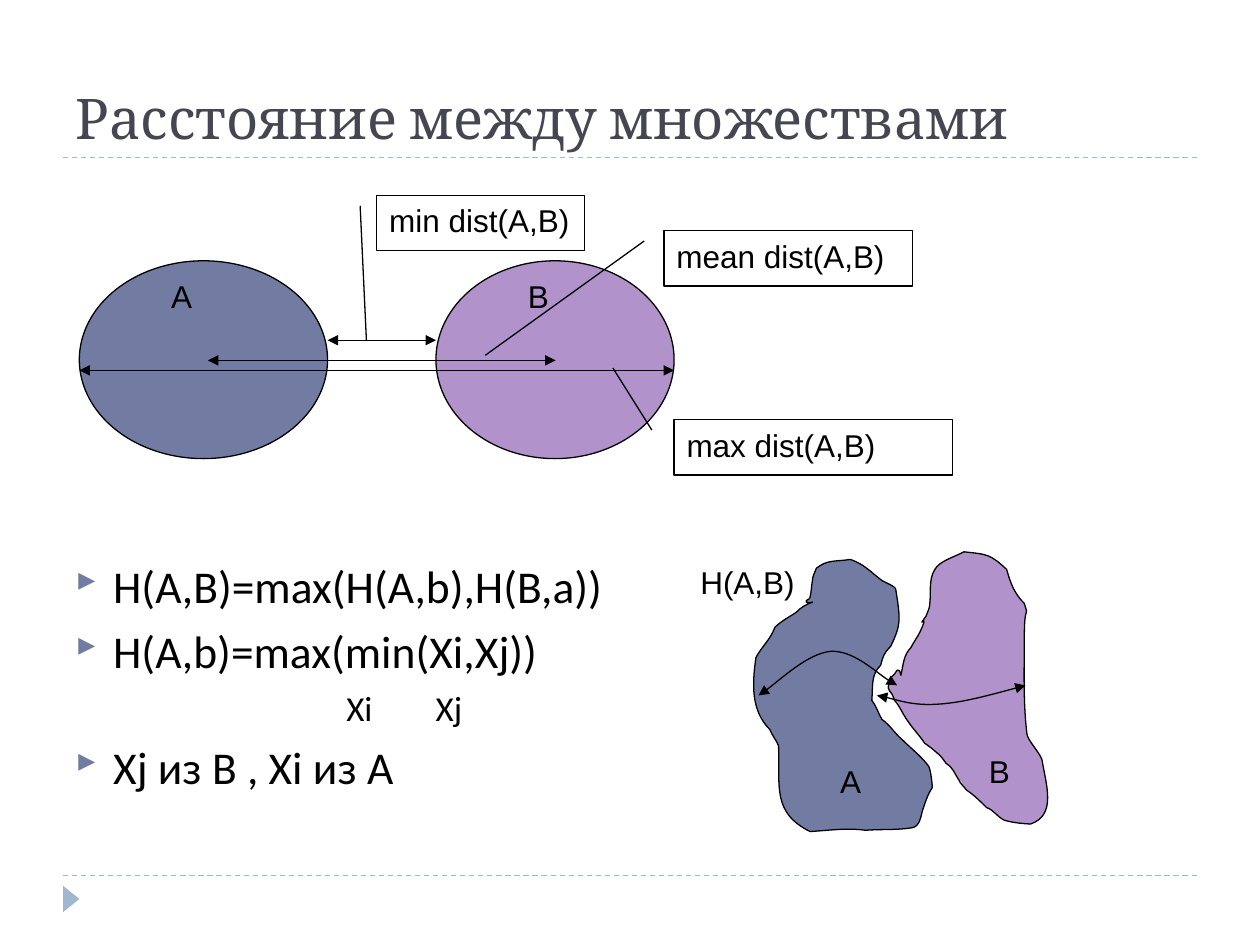
from lxml.etree import Element, SubElement
from pptx import Presentation
from pptx.dml.color import RGBColor
from pptx.enum.dml import MSO_LINE
from pptx.enum.shapes import MSO_CONNECTOR, MSO_SHAPE
from pptx.enum.text import MSO_ANCHOR, PP_ALIGN
from pptx.oxml.ns import qn
from pptx.util import Inches, Pt

BLACK = RGBColor(0, 0, 0)
WHITE = RGBColor(255, 255, 255)
TITLE_GREY = RGBColor(0x46, 0x46, 0x53)
PALE_BLUE = RGBColor(0x9F, 0xB8, 0xCD)
SET_A_BLUE = RGBColor(0x72, 0x7C, 0xA3)
SET_B_PURPLE = RGBColor(0xB2, 0x92, 0xCA)

# Bezier points (start, then two controls and an end per arc), in hundredths of an inch.
SET_A_OUTLINE = [
    (145, 78), (139, 80), (136, 82), (132, 86), (126, 90), (120, 93), (115, 98),
    (112, 107), (104, 114), (100, 122), (97, 143), (96, 164), (111, 179),
    (113, 184), (116, 187), (118, 192), (119, 225), (113, 245), (143, 260),
    (159, 259), (172, 257), (187, 259), (200, 258), (212, 259), (224, 257),
    (230, 256), (231, 248), (232, 244), (234, 238), (236, 231), (240, 225),
    (240, 225), (239, 211), (237, 208), (231, 200), (223, 194), (216, 187),
    (210, 182), (207, 176), (200, 171), (197, 166), (196, 161), (192, 156),
    (193, 144), (191, 136), (199, 128), (201, 121), (201, 119), (207, 113),
    (215, 96), (215, 93), (211, 68), (211, 65), (201, 62), (199, 60),
    (190, 53), (186, 48), (175, 44), (162, 46), (157, 44), (148, 51),
    (147, 54), (145, 57), (145, 60), (144, 65), (144, 70), (143, 74),
    (143, 76), (139, 76), (140, 78), (141, 79), (143, 78), (145, 78)]
SET_B_OUTLINE = [
    (215, 136), (217, 128), (217, 120), (223, 114), (225, 110), (228, 106), (230, 102),
    (239, 83), (226, 102), (235, 89), (236, 86), (238, 83), (238, 79),
    (239, 70), (237, 60), (242, 52), (246, 45), (258, 42), (265, 38),
    (284, 40), (286, 40), (299, 52), (302, 63), (305, 71), (313, 79),
    (317, 92), (313, 77), (313, 105), (313, 131), (312, 157), (315, 182),
    (315, 187), (325, 197), (327, 203), (330, 222), (339, 247), (318, 254),
    (314, 254), (303, 253), (297, 251), (291, 248), (289, 243), (283, 241),
    (278, 236), (273, 231), (267, 227), (265, 224), (262, 222), (261, 219),
    (257, 213), (257, 210), (251, 206), (248, 202), (247, 200), (243, 197),
    (240, 194), (234, 190), (234, 190), (230, 184), (225, 179), (221, 173),
    (217, 168), (214, 160), (210, 156), (209, 154), (209, 152), (208, 151),
    (207, 149), (205, 148), (205, 146), (205, 142), (207, 137), (210, 135),
    (211, 134), (212, 131), (213, 132), (215, 132), (214, 135), (215, 136)]
DISTANCE_ARCS = [
    [(314, 144), (288, 151), (263, 158), (243, 159), (224, 160), (204, 153), (196, 152)],
    [(102, 152), (111, 147), (141, 119), (159, 117), (177, 116), (201, 139), (212, 144)]]


def outline(shape, color=BLACK):
    shape.line.color.rgb = color
    shape.line.width = Pt(0.75)


def add_arrowheads(shape):
    line = shape.line._get_or_add_ln()
    for end in ("a:headEnd", "a:tailEnd"):
        SubElement(line, qn(end), type="triangle")


def add_line(slide, x1, y1, x2, y2, color=BLACK):
    line = slide.shapes.add_connector(MSO_CONNECTOR.STRAIGHT, x1, y1, x2, y2)
    outline(line, color)
    SubElement(line._element.spPr, qn("a:effectLst"))
    return line


def add_filled(slide, kind, left, top, width, height, color):
    shape = slide.shapes.add_shape(kind, left, top, width, height)
    shape.shadow.inherit = False
    shape.fill.solid()
    shape.fill.fore_color.rgb = color
    return shape


def style(paragraph, size, name, color=BLACK):
    paragraph.alignment = PP_ALIGN.LEFT
    paragraph.font.size = Pt(size)
    paragraph.font.name = name
    paragraph.font.color.rgb = color


def write_label(shape, text):
    frame = shape.text_frame
    frame.word_wrap = True
    frame.vertical_anchor = MSO_ANCHOR.TOP
    frame.text = text
    style(frame.paragraphs[0], 18, "Arial")


def add_label(slide, left, top, text, width=Inches(0.39)):
    write_label(slide.shapes.add_textbox(left, top, width, Inches(0.4)), text)


def bend_segments(curve):
    """Turn every three line segments into one cubic Bezier arc."""
    segments = list(curve._element.iter(qn("a:lnTo")))
    for i in range(0, len(segments), 3):
        arc = Element(qn("a:cubicBezTo"))
        segments[i].addprevious(arc)
        for segment in segments[i:i + 3]:
            arc.append(segment[0])
            segment.getparent().remove(segment)


def add_curve(slide, left, top, controls, color=None):
    """Draw a closed filled curve, or an open one with arrowheads if no color is given."""
    points = [(left + Inches(x / 100), top + Inches(y / 100)) for x, y in controls]
    builder = slide.shapes.build_freeform(*points[0], scale=1.0)
    builder.add_line_segments(points[1:], close=color is not None)
    curve = builder.convert_to_shape()
    bend_segments(curve)
    curve.shadow.inherit = False
    outline(curve)
    if color is None:
        curve.fill.background()
        add_arrowheads(curve)
    else:
        curve.fill.solid()
        curve.fill.fore_color.rgb = color


def add_frame(slide, left, top, width, height):
    """Place the dashed rules and the corner triangle."""
    for y in (top, top + height):
        rule = add_line(slide, left, y, left + width, y, PALE_BLUE)
        rule.line.dash_style = MSO_LINE.DASH
    marker = add_filled(slide, MSO_SHAPE.ISOSCELES_TRIANGLE, left - Inches(0.04),
                        top + height + Inches(0.12), Inches(0.21), Inches(0.13), PALE_BLUE)
    marker.rotation = 90
    marker.line.fill.background()


def add_title(slide, left, top, width, height):
    title = slide.shapes.title
    title.left, title.top, title.width, title.height = left, top, width, height
    title.text_frame.text = "Расстояние между множествами"
    title.text_frame.vertical_anchor = MSO_ANCHOR.BOTTOM
    style(title.text_frame.paragraphs[0], 32, "Cambria", TITLE_GREY)


def add_disk_distances(slide, left, top):
    for x, width, color in ((0.13, 1.97, SET_A_BLUE), (2.96, 1.89, SET_B_PURPLE)):
        outline(add_filled(slide, MSO_SHAPE.OVAL, left + Inches(x), top + Inches(0.57),
                           Inches(width), Inches(1.57), color))
    for start, end, y in ((1.15, 3.91, 1.36), (2.1, 2.96, 1.2), (0.13, 4.85, 1.44)):
        add_arrowheads(add_line(slide, left + Inches(start), top + Inches(y),
                                left + Inches(end), top + Inches(y)))
    for name, x in (("A", 0.76), ("B", 3.59)):
        add_label(slide, left + Inches(x), top + Inches(0.65), name)
    for name, x, y, width, tip_y, tip_x in (
            ("min", 2.49, 0.05, 1.65, 2.61, -0.05),
            ("max", 4.85, 1.83, 2.21, -0.93, -0.22),
            ("mean", 4.77, 0.33, 1.97, 2.25, -0.72)):
        callout = add_filled(slide, MSO_SHAPE.LINE_CALLOUT_1, left + Inches(x),
                             top + Inches(y), Inches(width), Inches(0.44), WHITE)
        outline(callout)
        for i, value in enumerate((0.19, -0.08, tip_y, tip_x)):
            callout.adjustments[i] = value
        write_label(callout, f"{name} dist(A,B)")


def add_hausdorff_sets(slide, left, top):
    add_curve(slide, left, top, SET_A_OUTLINE, SET_A_BLUE)
    add_curve(slide, left, top, SET_B_OUTLINE, SET_B_PURPLE)
    add_label(slide, left + Inches(1.57), top + Inches(2), "A")
    add_label(slide, left + Inches(2.75), top + Inches(1.92), "B")
    for arc in DISTANCE_ARCS:
        add_curve(slide, left, top, arc)
    add_label(slide, left + Inches(0.46), top + Inches(0.42), "H(A,B)", Inches(1.1))


def add_bullet(paragraph):
    properties = paragraph._p.get_or_add_pPr()
    properties.set("marL", str(Inches(0.3)))
    properties.set("indent", str(-Inches(0.3)))
    color = SubElement(properties, qn("a:buClr"))
    SubElement(color, qn("a:srgbClr"), val=str(SET_A_BLUE))
    SubElement(properties, qn("a:buSzPct"), val="76000")
    SubElement(properties, qn("a:buFont"), typeface="Wingdings 3", charset="2")
    SubElement(properties, qn("a:buChar"), char="}")


def add_tab_stops(paragraph, *stops):
    tabs = SubElement(paragraph._p.get_or_add_pPr(), qn("a:tabLst"))
    for stop in stops:
        SubElement(tabs, qn("a:tab"), pos=str(stop), algn="l")


def add_formulas(slide, left, top, width, height):
    frame = slide.shapes.add_textbox(left, top, width, height).text_frame
    frame.word_wrap = True
    lines = ("H(A,B)=max(H(A,b),H(B,a))", "H(A,b)=max(min(Xi,Xj))", "\tXi\tXj",
             "Xj из B , Xi из А")
    for i, line in enumerate(lines):
        paragraph = frame.add_paragraph() if i else frame.paragraphs[0]
        paragraph.text = line
        subscripts = line.startswith("\t")
        if subscripts:
            add_tab_stops(paragraph, Inches(2.15), Inches(2.86))
        else:
            add_bullet(paragraph)
        if i:
            paragraph.space_before = Pt(5 if subscripts else 6)
        style(paragraph, 20 if subscripts else 26, "Calibri")


def main():
    presentation = Presentation()
    presentation.slide_width, presentation.slide_height = Inches(10), Inches(7.5)
    slide = presentation.slides.add_slide(presentation.slide_layouts[5])
    add_frame(slide, Inches(0.5), Inches(1.25), Inches(9), Inches(5.7))
    add_title(slide, Inches(0.5), Inches(0.17), Inches(9), Inches(1.08))
    add_disk_distances(slide, Inches(0.5), Inches(1.5))
    add_hausdorff_sets(slide, Inches(5), Inches(4))
    add_formulas(slide, Inches(0.5), Inches(4.38), Inches(9), Inches(2.35))
    presentation.save("out.pptx")


if __name__ == "__main__":
    main()
